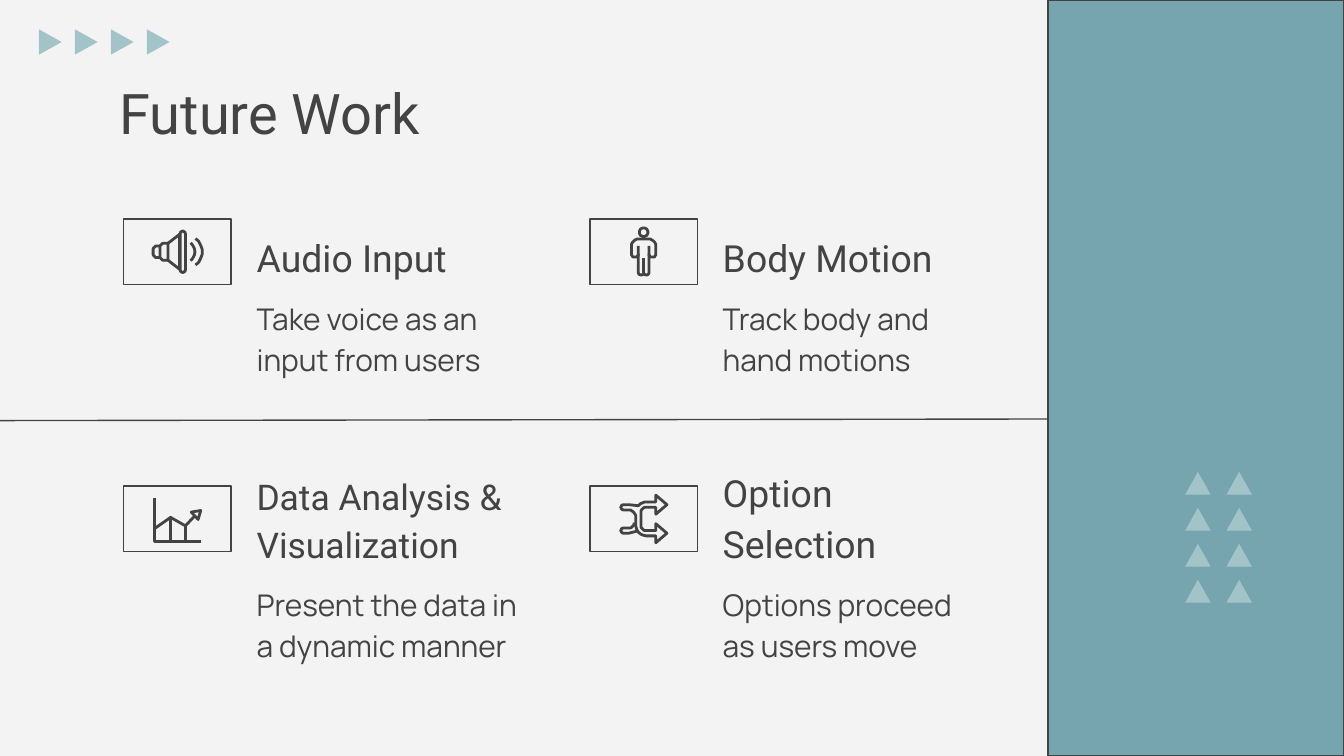
from dataclasses import dataclass
from itertools import product
from math import cos, radians, sin

from lxml.etree import SubElement
from pptx import Presentation
from pptx.dml.color import RGBColor
from pptx.enum.shapes import MSO_CONNECTOR as Connector, MSO_SHAPE as Shape
from pptx.enum.text import MSO_ANCHOR as Anchor, MSO_AUTO_SIZE as AutoSize, PP_ALIGN as Align
from pptx.oxml.ns import qn
from pptx.util import Cm, Pt

INK, PAPER, TEAL, MIST = "434343", "F3F3F3", "76A5AF", "A2C4C9"
HEAD_FONT, BODY_FONT = "Roboto", "Manrope"
WIDTH, HEIGHT, PANEL_LEFT = 25.4, 14.29, 19.81
BOX_W, BOX_H = 2.03, 1.24
TEXT_W, BODY_H = 5.49, 1.85

Points = list[tuple[float, float]]


@dataclass
class Stroke:
    """An icon line; points are in 0.01 cm from the icon's centre."""
    points: Points
    closed: bool = False


@dataclass
class Card:
    left: float
    box_top: float
    body_top: float
    heading: str
    body: str
    icon: list[Stroke]
    size: int = 20
    heading_w: float = TEXT_W
    heading_h: float = 1.4


def color(value: str) -> RGBColor:
    return RGBColor.from_string(value)


def arc(cx: float, cy: float, r: float, start: float, end: float) -> Points:
    """Points along a circle, clockwise when end exceeds start."""
    steps = max(6, int(abs(end - start) / 15))
    angles = [radians(start + (end - start) * i / steps) for i in range(steps + 1)]
    return [(cx + r * cos(a), cy + r * sin(a)) for a in angles]


def arrow_head(cy: float) -> Points:
    return [(23, cy - 5), (23, cy - 18), (44, cy), (23, cy + 18), (23, cy + 5)]


def style(sp, fill: str | None = None, line: str | None = None, width: float = 0.75) -> None:
    sp.shadow.inherit = False
    if fill:
        sp.fill.solid()
        sp.fill.fore_color.rgb = color(fill)
    else:
        sp.fill.background()
    if line:
        sp.line.color.rgb = color(line)
        sp.line.width = Pt(width)
    else:
        sp.line.fill.background()


def add_box(s, kind, x: float, y: float, w: float, h: float,
            fill: str | None = None, line: str | None = None):
    sp = s.shapes.add_shape(kind, Cm(x), Cm(y), Cm(w), Cm(h))
    style(sp, fill, line)
    return sp


def add_triangles(s, x: float, y: float, cols: int, rows: int,
                  dx: float, dy: float, rotation: int = 0) -> None:
    for col, row in product(range(cols), range(rows)):
        sp = add_box(s, Shape.ISOSCELES_TRIANGLE, x + col * dx, y + row * dy, 0.48, 0.43, MIST)
        sp.rotation = rotation


def write(sp, text: str, font: str, size: int, anchor=Anchor.TOP,
          spacing: float | None = None) -> None:
    tf = sp.text_frame
    tf.word_wrap = True
    tf.auto_size = AutoSize.NONE
    tf.vertical_anchor = anchor
    tf.margin_left = tf.margin_right = tf.margin_top = tf.margin_bottom = Cm(0.25)
    p = tf.paragraphs[0]
    p.alignment = Align.LEFT
    if spacing:
        p.line_spacing = spacing
    r = p.add_run()
    r.text = text
    r.font.name, r.font.size = font, Pt(size)
    r.font.color.rgb = color(INK)


def add_icon(s, cx: float, cy: float, strokes: list[Stroke]) -> None:
    first, *others = strokes
    builder = s.shapes.build_freeform(*first.points[0], scale=Cm(0.01))
    builder.add_line_segments(first.points[1:], close=first.closed)
    for stroke in others:
        builder.move_to(*stroke.points[0])
        builder.add_line_segments(stroke.points[1:], close=stroke.closed)
    style(builder.convert_to_shape(Cm(cx), Cm(cy)), line=INK, width=1.5)


def add_card(s, card: Card) -> None:
    text_left = card.left + 2.26
    heading_top = card.body_top + 0.21 - card.heading_h
    body = s.shapes.add_textbox(Cm(text_left), Cm(card.body_top), Cm(TEXT_W), Cm(BODY_H))
    write(body, card.body, BODY_FONT, 16, spacing=1.15)
    heading = s.shapes.add_textbox(Cm(text_left), Cm(heading_top),
                                   Cm(card.heading_w), Cm(card.heading_h))
    write(heading, card.heading, HEAD_FONT, card.size, Anchor.BOTTOM, 1.15)
    add_box(s, Shape.RECTANGLE, card.left, card.box_top, BOX_W, BOX_H, line=INK)
    add_icon(s, card.left + BOX_W / 2, card.box_top + BOX_H / 2, card.icon)


SPEAKER = [
    Stroke([(-33, -11), (-41, -11), (-46, -6), (-46, 6), (-41, 11), (-33, 11)]),
    Stroke([(-18, -16), (-28, -16), (-33, -11), (-33, 11), (-28, 16), (-18, 16)], True),
    Stroke([(-18, -16), (4, -33), (4, 33), (-18, 16)]),
    Stroke(arc(10, -34, 5, 180, 360) + arc(10, 34, 5, 0, 180), True),
    Stroke(arc(11, 0, 22, -50, 50)),
    Stroke(arc(16, 0, 31, -55, 55)),
]
PERSON = [
    Stroke(arc(0, -37, 8, 0, 360), True),
    Stroke(arc(-16.5, 4, 6.5, 0, 180) + arc(-10, -11, 13, 180, 270)
           + arc(10, -11, 13, 270, 360) + arc(16.5, 4, 6.5, 0, 180)),
    Stroke([(-10, -11)] + arc(-5, 39, 5, 180, 0) + arc(5, 39, 5, 180, 0) + [(10, -11)]),
    Stroke([(0, 39), (0, 11)]),
]
GRAPH = [
    Stroke([(-43, -40), (-43, 42), (44, 42)]),
    Stroke([(-43, 18), (-13, -3), (15, 13), (33, -6)]),
    Stroke([(-13, -3), (-13, 42)]),
    Stroke([(15, 13), (15, 42)]),
    Stroke([(26, -13), (44, -16), (39, 1)], True),
]
SHUFFLE = [
    Stroke(arc(5, -12, 20, 220, 270) + arrow_head(-27) + arc(5, -12, 10, 270, 180)
           + arc(5, 12, 10, 180, 90) + arrow_head(27) + arc(5, 12, 20, 90, 180)
           + arc(-28, -4, 13, 0, -90) + arc(-38, -22, 5, 90, 270) + [(-28, -27)], True),
    Stroke(arc(-28, 7, 10, 0, 90) + arc(-38, 22, 5, 270, 90) + [(-28, 27), (-12, 23)]),
]

LEFT, RIGHT = 2.34, 11.15
UPPER, LOWER = (4.14, 5.33), (9.19, 10.74)
CARDS = [
    Card(LEFT, *UPPER, "Audio Input", "Take voice as an input from users", SPEAKER),
    Card(RIGHT, *UPPER, "Body Motion", "Track body and hand motions", PERSON),
    Card(LEFT, *LOWER, "Data Analysis & Visualization",
         "Present the data in a dynamic manner", GRAPH, 19, 6.48, 1.85),
    Card(RIGHT, *LOWER, "Option Selection", "Options proceed as users move", SHUFFLE),
]


def main() -> None:
    prs = Presentation()
    prs.slide_width, prs.slide_height = Cm(WIDTH), Cm(HEIGHT)
    s = prs.slides.add_slide(prs.slide_layouts[5])
    s.background.fill.solid()
    s.background.fill.fore_color.rgb = color(PAPER)

    add_box(s, Shape.RECTANGLE, PANEL_LEFT, 0, WIDTH - PANEL_LEFT, HEIGHT, TEAL, INK)
    add_triangles(s, 22.4, 8.92, 2, 4, 0.78, 0.68)
    add_triangles(s, 0.71, 0.58, 4, 1, 0.68, 0, rotation=90)

    title = s.shapes.title
    title.left, title.top, title.width, title.height = Cm(2.01), Cm(1.24), Cm(17.83), Cm(1.6)
    write(title, "Future Work", HEAD_FONT, 30)

    divider = s.shapes.add_connector(Connector.STRAIGHT, Cm(-0.05), Cm(7.95),
                                     Cm(PANEL_LEFT), Cm(7.92))
    divider.line.color.rgb = color(INK)
    divider.line.width = Pt(0.75)
    SubElement(divider._element.spPr, qn("a:effectLst"))

    for card in CARDS:
        add_card(s, card)
    prs.save("out.pptx")


if __name__ == "__main__":
    main()
